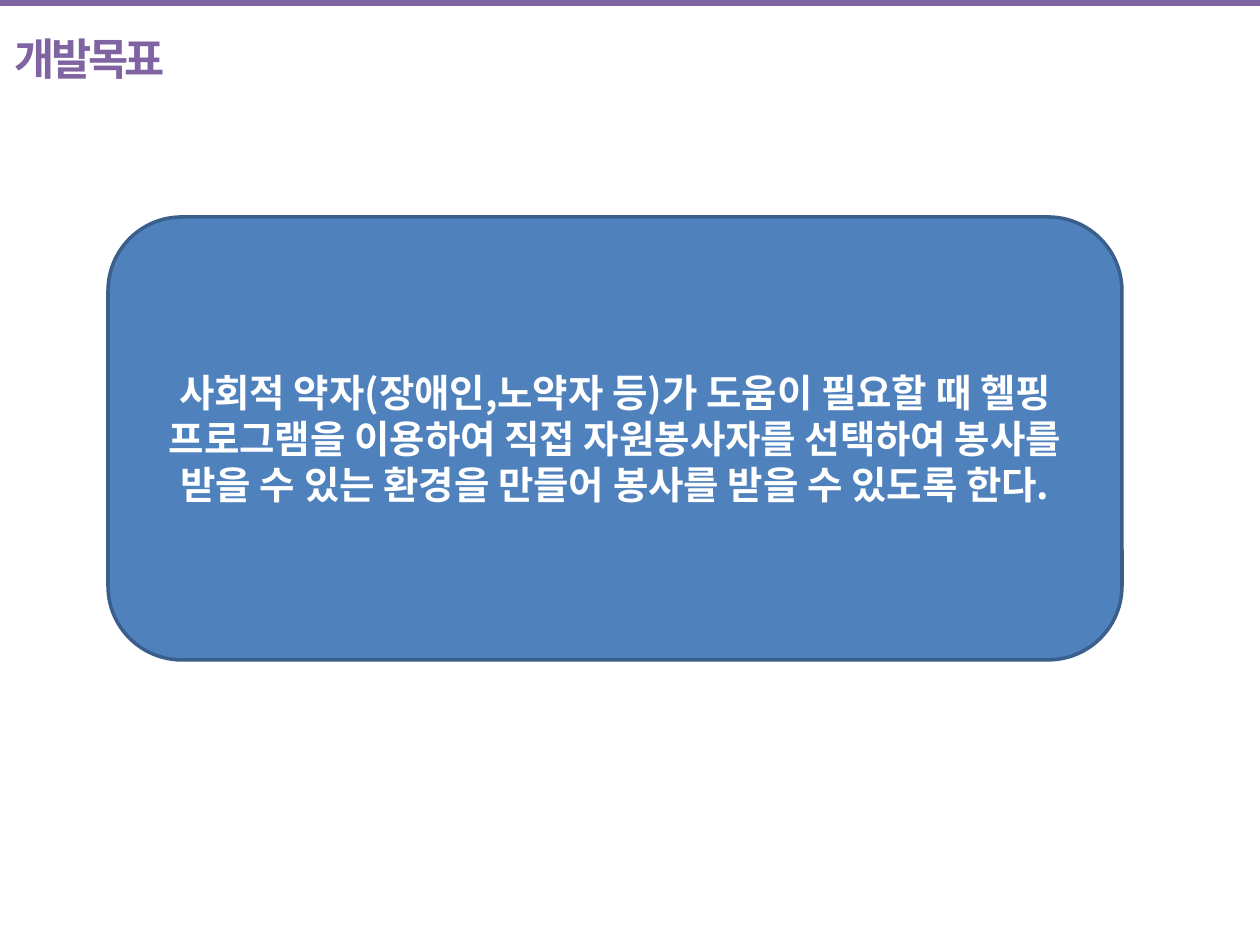
from lxml import etree
from pptx import Presentation
from pptx.dml.color import RGBColor
from pptx.enum.shapes import MSO_SHAPE
from pptx.enum.text import MSO_ANCHOR, MSO_AUTO_SIZE, PP_ALIGN
from pptx.oxml.ns import qn
from pptx.util import Pt

RECT, ROUND = MSO_SHAPE.RECTANGLE, MSO_SHAPE.ROUNDED_RECTANGLE
MIDDLE, TOP = MSO_ANCHOR.MIDDLE, MSO_ANCHOR.TOP
CENTER, LEFT = PP_ALIGN.CENTER, PP_ALIGN.LEFT
GROW = MSO_AUTO_SIZE.SHAPE_TO_FIT_TEXT
HANGUL = "Noto Sans CJK KR"
PURPLE, BLUE, NAVY, WHITE = "8064A2", "4F81BD", "3A5F8C", "FFFFFF"

GOAL = ("사회적 약자(장애인,노약자 등)가 도움이 필요할 때 헬핑 프로그램을 "
        "이용하여 직접 자원봉사자를 선택하여 봉사를 받을 수 있는 환경을 "
        "만들어 봉사를 받을 수 있도록 한다.")


def px(count):
    return round(count * 914400 / 126)


def color(code):
    return RGBColor.from_string(code)


def assign(target, values):
    for name, value in values.items():
        setattr(target, name, value)


def add_box(slide, kind, at, fill, line=None):
    box = slide.shapes.add_shape(kind, *map(px, at))
    box.shadow.inherit = False
    box.fill.solid()
    box.fill.fore_color.rgb = color(fill)
    if line:
        box.line.color.rgb = color(line)
        box.line.width = Pt(2)
    else:
        box.line.fill.background()
    return box


def put_text(shape, text, frame, para, font, ink, track=None):
    body = shape.text_frame
    assign(body, {"word_wrap": True, **frame})
    line = body.paragraphs[0]
    assign(line, para)
    run = line.add_run()
    run.text = text
    assign(run.font, {"bold": True, **font})
    run.font.color.rgb = color(ink)
    # East Asian typeface and letter spacing
    props = run.font._element
    east = etree.Element(qn("a:ea"), typeface=HANGUL)
    props.find(qn("a:latin")).addnext(east)
    if track:
        props.set("spc", str(track * 100))


def add_title(slide, text):
    box = slide.shapes.add_textbox(*map(px, (0, -29, 596, 105)))
    frame = {"margin_left": px(15), "margin_right": px(15),
             "margin_top": px(8), "margin_bottom": px(8),
             "vertical_anchor": TOP, "auto_size": GROW}
    para = {"alignment": LEFT, "line_spacing": 2.0, "space_before": Pt(6)}
    put_text(box, text, frame, para,
             {"name": "Open Sans", "size": Pt(25)}, PURPLE, -2)


def add_goal(slide, text):
    box = add_box(slide, ROUND, (108, 217, 1014, 443), BLUE, NAVY)
    put_text(box, text, {"vertical_anchor": MIDDLE}, {"alignment": CENTER},
             {"name": HANGUL, "size": Pt(22)}, WHITE)


def main():
    deck = Presentation()
    assign(deck, {"slide_width": px(1260), "slide_height": px(945)})
    slide = deck.slides.add_slide(deck.slide_layouts[6])
    # Top band, goal panel, heading
    add_box(slide, RECT, (0, 0, 1265, 6), PURPLE)
    add_goal(slide, GOAL)
    add_title(slide, "개발목표")
    deck.save("out.pptx")


if __name__ == "__main__":
    main()
